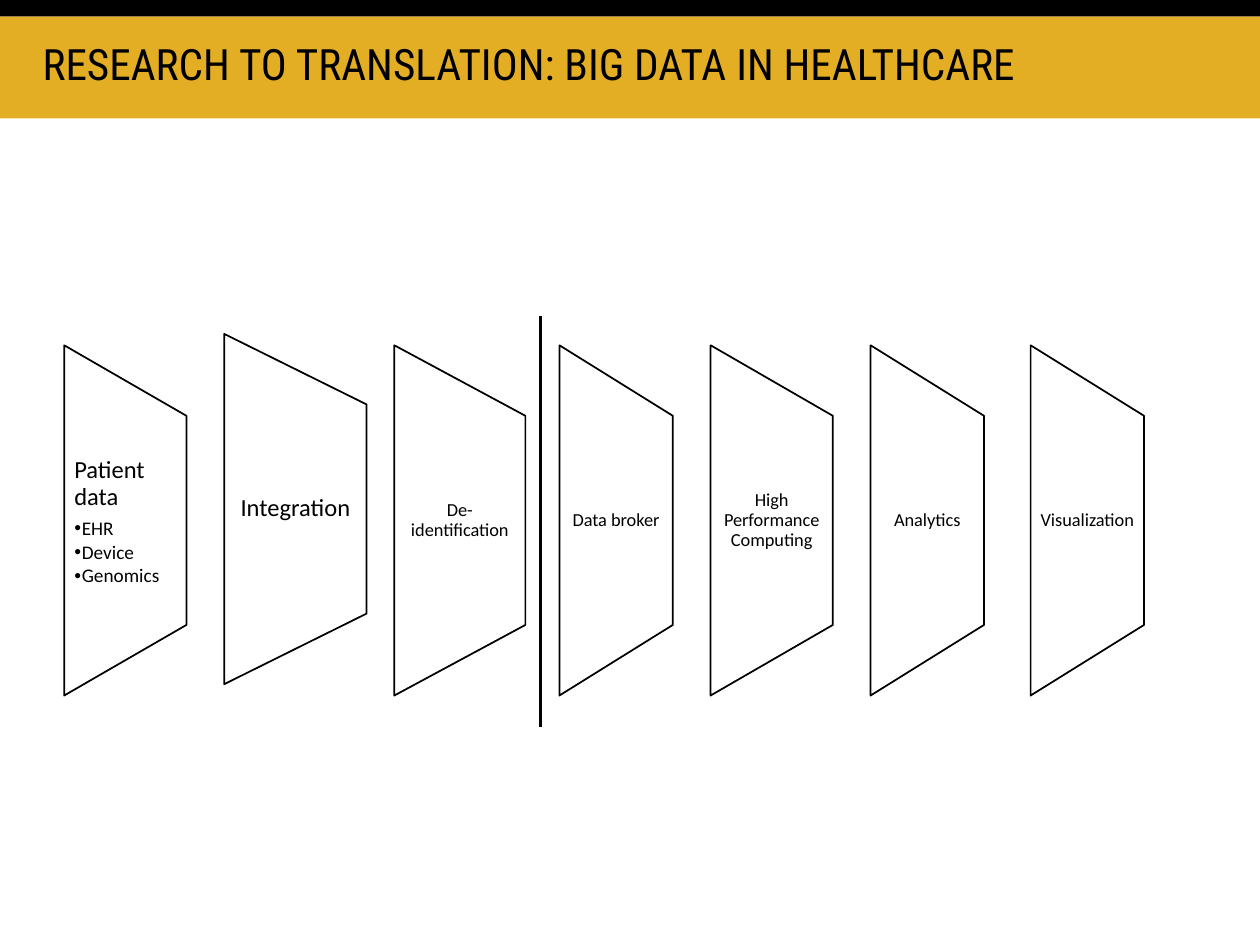
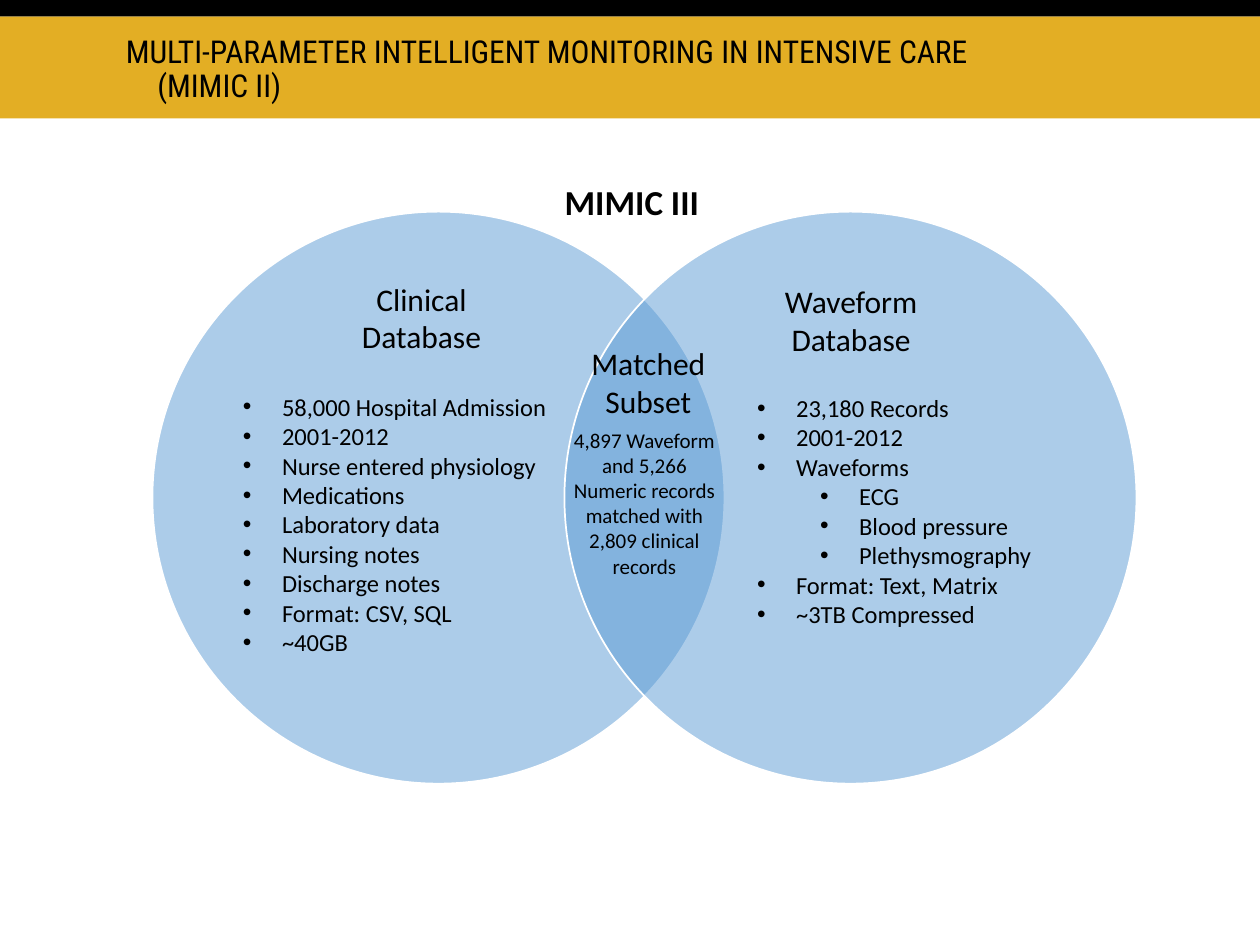
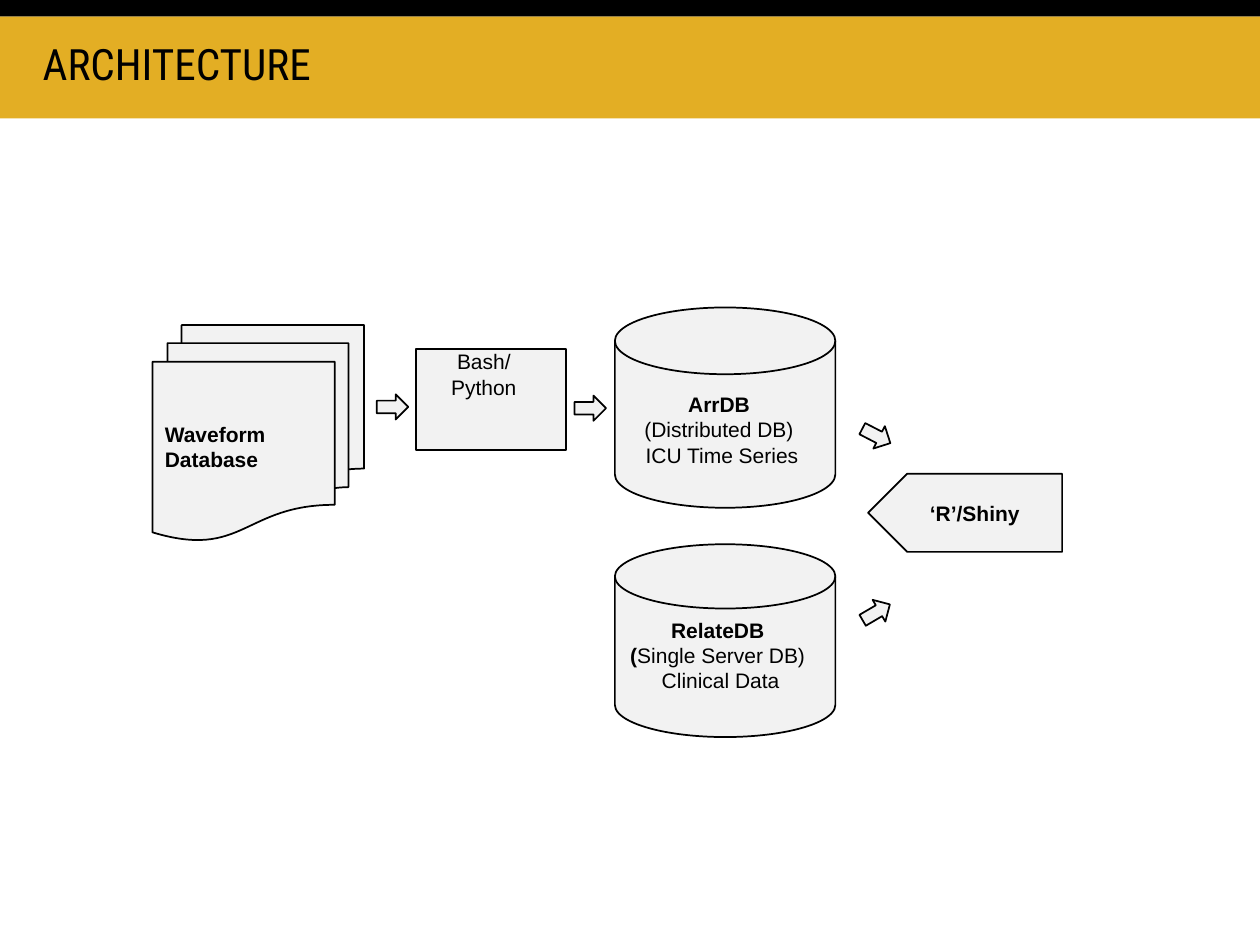
from lxml.etree import SubElement
from pptx import Presentation
from pptx.dml.color import RGBColor
from pptx.enum.shapes import MSO_CONNECTOR, MSO_SHAPE
from pptx.enum.text import MSO_ANCHOR, PP_ALIGN
from pptx.oxml.ns import qn
from pptx.util import Inches, Pt

BLACK, WHITE, GOLD, BLUE, PALE = "000000", "FFFFFF", "E3AE24", "5B9BD5", "F2F2F2"
TITLE_FONT, BODY_FONT, DIAGRAM_FONT = "Roboto Condensed", "Calibri", "Arial"
BANDS = [((0, 0.13, 10, 0.81), GOLD), ((0, 0, 10, 0.13), BLACK)]

# Slide 1: left, top, width, text size, label
STAGES = [
    (0.51, 2.74, 0.97, 14, "Patient data"),
    (1.78, 2.65, 1.13, 14, "Integration"),
    (3.13, 2.74, 1.04, 10.5, "De-identification"),
    (4.44, 2.74, 0.9, 10.5, "Data broker"),
    (5.64, 2.74, 0.97, 10.5, "High Performance Computing"),
    (6.91, 2.74, 0.9, 10.5, "Analytics"),
    (8.18, 2.74, 0.9, 10.5, "Visualization"),
]
PATIENT_DATA = ["EHR", "Device", "Genomics"]
STAGE_HEIGHT, STAGE_SLOPE = 2.78, 0.56

# Slide 2: circles, headings (left, top, width, height, size, bold, text), lists (level, text)
CIRCLE_LEFTS, CIRCLE_TOP, CIRCLE_SIZE = (1.21, 4.48), 1.68, 4.54
VENN_LABELS = [
    (2.54, 2.17, 1.61, 0.71, 18, False, "Clinical Database"),
    (5.95, 2.19, 1.61, 0.71, 18, False, "Waveform Database"),
    (4.21, 1.38, 1.61, 0.44, 20, True, "MIMIC III"),
    (4.45, 3.34, 1.33, 1.31, 12, False,
     "4,897 Waveform and 5,266 Numeric records matched with 2,809 clinical records"),
    (4.34, 2.68, 1.61, 0.71, 18, False, "Matched Subset"),
]
VENN_LISTS = [
    (1.83, 3.06, 2.85, 2.46, [
        (0, "58,000 Hospital Admission"), (0, "2001-2012"),
        (0, "Nurse entered physiology"), (0, "Medications"),
        (0, "Laboratory data"), (0, "Nursing notes"), (0, "Discharge notes"),
        (0, "Format: CSV, SQL"), (0, "~40GB")]),
    (5.91, 3.07, 2.85, 1.99, [
        (0, "23,180 Records"), (0, "2001-2012"), (0, "Waveforms"),
        (1, "ECG"), (1, "Blood pressure"), (1, "Plethysmography"),
        (0, "Format: Text, Matrix"), (0, "~3TB Compressed")]),
]

# Slide 3: left, top, rotation of arrows; disk and caption places with (bold, plain) lines
ARROWS = [(2.99, 3.13, 0), (4.56, 3.14, 0), (6.83, 3.36, 27.3), (6.83, 4.76, 329.7)]
DATABASES = [
    ((4.88, 2.44, 1.75, 1.59), (4.57, 3.06, 2.32, 1.23),
     [("ArrDB ", ""), ("", "(Distributed DB) "), ("", "ICU Time Series")]),
    ((4.88, 4.32, 1.75, 1.53), (4.55, 4.85, 2.34, 1.14),
     [("RelateDB ", ""), ("(", "Single Server DB) "), ("", "Clinical Data")]),
]


def color(value):
    return RGBColor.from_string(value)


def style_font(font, name, size, bold=False):
    font.name, font.size, font.bold = name, Pt(size), bold
    font.color.rgb = color(BLACK)


def style_shape(shape, fill=None, line=BLACK):
    shape.shadow.inherit = False
    if fill:
        shape.fill.solid()
        shape.fill.fore_color.rgb = color(fill)
    else:
        shape.fill.background()
    if line:
        shape.line.color.rgb = color(line)
        shape.line.width = Pt(1)
    else:
        shape.line.fill.background()
    return shape


def add_preset(page, preset, place, fill=PALE, line=BLACK):
    shape = page.shapes.add_shape(preset, *map(Inches, place))
    return style_shape(shape, fill, line)


def set_frame(shape, insets=(0.1, 0.05), anchor=MSO_ANCHOR.TOP):
    frame = shape.text_frame
    frame.word_wrap = True
    frame.vertical_anchor = anchor
    frame.margin_left = frame.margin_right = Inches(insets[0])
    frame.margin_top = frame.margin_bottom = Inches(insets[1])
    return frame


def add_frame(page, place, insets=(0.1, 0.05)):
    return set_frame(page.shapes.add_textbox(*map(Inches, place)), insets)


def write(para, text, font, size, bold=False, align=PP_ALIGN.CENTER):
    para.text = text
    para.alignment = align
    style_font(para.font, font, size, bold)


def indent(para, left, hanging, bullet=False):
    properties = para._p.get_or_add_pPr()
    properties.set("marL", str(Inches(left)))
    properties.set("indent", str(-Inches(hanging)))
    if bullet:
        for tag, values in (("a:buFont", {"typeface": "Arial"}), ("a:buChar", {"char": "•"})):
            mark = properties.makeelement(qn(tag), values)
            properties.insert_element_before(mark, "a:tabLst", "a:defRPr", "a:extLst")


def add_bands(page):
    """Draw the bands and move them to the layout that all slides share."""
    layout = page.slide_layout
    for holder in list(layout.placeholders):
        layout.shapes._spTree.remove(holder._element)
    bands = [add_preset(page, MSO_SHAPE.RECTANGLE, place, fill, None) for place, fill in BANDS]
    for band in bands:
        layout.shapes._spTree.append(band._element)


def add_page(deck, title, place=(0.24, 0.29, 8.96, 0.75), size=24.7):
    page = deck.slides.add_slide(deck.slide_layouts[6])
    if len(deck.slides) == 1:
        add_bands(page)
    para = add_frame(page, place).paragraphs[0]
    write(para, title, TITLE_FONT, size, align=PP_ALIGN.LEFT)
    para.line_spacing = 0.9
    indent(para, 0.25, 0.25)
    return page


def add_stage(page, left, top, width):
    right, bottom = left + width, top + STAGE_HEIGHT
    corners = [(left, top), (right, top + STAGE_SLOPE),
               (right, bottom - STAGE_SLOPE), (left, bottom)]
    points = [(Inches(x), Inches(y)) for x, y in corners]
    builder = page.shapes.build_freeform(*points[0])
    builder.add_line_segments(points[1:], close=True)
    return style_shape(builder.convert_to_shape())


def build_pipeline(deck):
    page = add_page(deck, "RESEARCH TO TRANSLATION: BIG DATA IN HEALTHCARE")
    for left, top, width, size, label in STAGES:
        stage = add_stage(page, left, top, width)
        is_first = label == STAGES[0][-1]
        frame = set_frame(stage, (0.08 if size == 14 else 0.06, 0.89),
                          MSO_ANCHOR.TOP if is_first else MSO_ANCHOR.MIDDLE)
        para = frame.paragraphs[0]
        write(para, label, BODY_FONT, size,
              align=PP_ALIGN.LEFT if is_first else PP_ALIGN.CENTER)
        para.line_spacing = 0.9
        if is_first:
            para.space_after = Pt(4.9)
            for item in PATIENT_DATA:
                para = frame.add_paragraph()
                write(para, item, BODY_FONT, 11, align=PP_ALIGN.LEFT)
                para.level = 1
                para.line_spacing, para.space_after = 0.9, Pt(1.65)
                indent(para, 0.06, 0.06, bullet=True)

    # Divider between hospital and research side
    divider = page.shapes.add_connector(
        MSO_CONNECTOR.STRAIGHT, Inches(4.29), Inches(2.51), Inches(4.29), Inches(5.77))
    divider.line.color.rgb = color(BLACK)
    divider.line.width = Pt(2)
    SubElement(divider._element.spPr, qn("a:effectLst"))


def build_venn(deck):
    page = add_page(deck, "MULTI-PARAMETER INTELLIGENT MONITORING IN INTENSIVE CARE (MIMIC II)",
                    (0.9, 0.24, 6.93, 0.5), 18)
    # Half-transparent circles
    for left in CIRCLE_LEFTS:
        circle = add_preset(page, MSO_SHAPE.OVAL,
                            (left, CIRCLE_TOP, CIRCLE_SIZE, CIRCLE_SIZE), BLUE, WHITE)
        tint = circle._element.spPr.find(qn("a:solidFill"))[0]
        SubElement(tint, qn("a:alpha"), val="50000")

    # Headings and bullet lists
    for *place, size, bold, text in VENN_LABELS:
        frame = add_frame(page, place, (0.08, 0.05))
        write(frame.paragraphs[0], text, BODY_FONT, size, bold)
    for *place, items in VENN_LISTS:
        frame = add_frame(page, place)
        for number, (level, text) in enumerate(items):
            para = frame.add_paragraph() if number else frame.paragraphs[0]
            write(para, text, BODY_FONT, 14, align=PP_ALIGN.LEFT)
            para.level = level
            indent(para, 0.31 + 0.5 * level, 0.31, bullet=True)


def build_architecture(deck):
    page = add_page(deck, "ARCHITECTURE")
    # Source and viewer
    source = add_preset(page, MSO_SHAPE.FLOWCHART_MULTIDOCUMENT, (1.21, 2.58, 1.68, 1.71))
    frame = set_frame(source, anchor=MSO_ANCHOR.MIDDLE)
    write(frame.paragraphs[0], "Waveform Database", DIAGRAM_FONT, 12, True, PP_ALIGN.LEFT)
    viewer = add_preset(page, MSO_SHAPE.PENTAGON, (6.89, 3.76, 1.54, 0.62))
    viewer._element.spPr.xfrm.set("flipH", "1")
    frame = set_frame(viewer, anchor=MSO_ANCHOR.MIDDLE)
    write(frame.paragraphs[0], "‘R’/Shiny", DIAGRAM_FONT, 12, True)

    # Loading script
    add_preset(page, MSO_SHAPE.FLOWCHART_PROCESS, (3.3, 2.77, 1.19, 0.8))
    frame = add_frame(page, (3.3, 2.72, 1.08, 1.02))
    write(frame.paragraphs[0], "Bash/ Python", DIAGRAM_FONT, 12)

    # Databases with captions
    for disk_place, caption_place, lines in DATABASES:
        add_preset(page, MSO_SHAPE.FLOWCHART_MAGNETIC_DISK, disk_place)
        para = add_frame(page, caption_place).paragraphs[0]
        para.alignment = PP_ALIGN.CENTER
        for number, line in enumerate(lines):
            if number:
                para.add_line_break()
            for text, bold in zip(line, (True, False)):
                if text:
                    span = para.add_run()
                    span.text = text
                    style_font(span.font, DIAGRAM_FONT, 12, bold)

    # Flow arrows
    for left, top, rotation in ARROWS:
        arrow = add_preset(page, MSO_SHAPE.RIGHT_ARROW, (left, top, 0.25, 0.2))
        arrow.rotation = rotation


def main():
    deck = Presentation()
    deck.slide_width, deck.slide_height = Inches(10), Inches(7.5)
    build_pipeline(deck)
    build_venn(deck)
    build_architecture(deck)
    deck.save("out.pptx")


if __name__ == "__main__":
    main()
